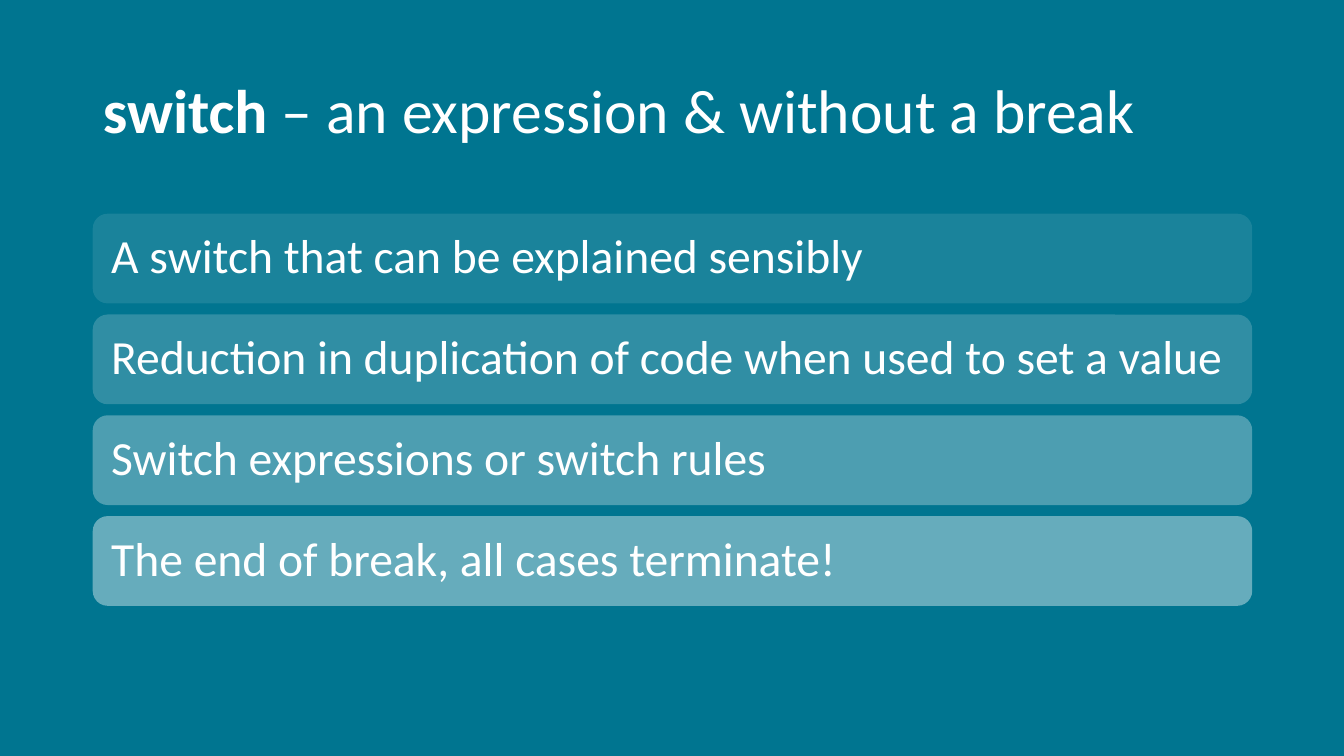
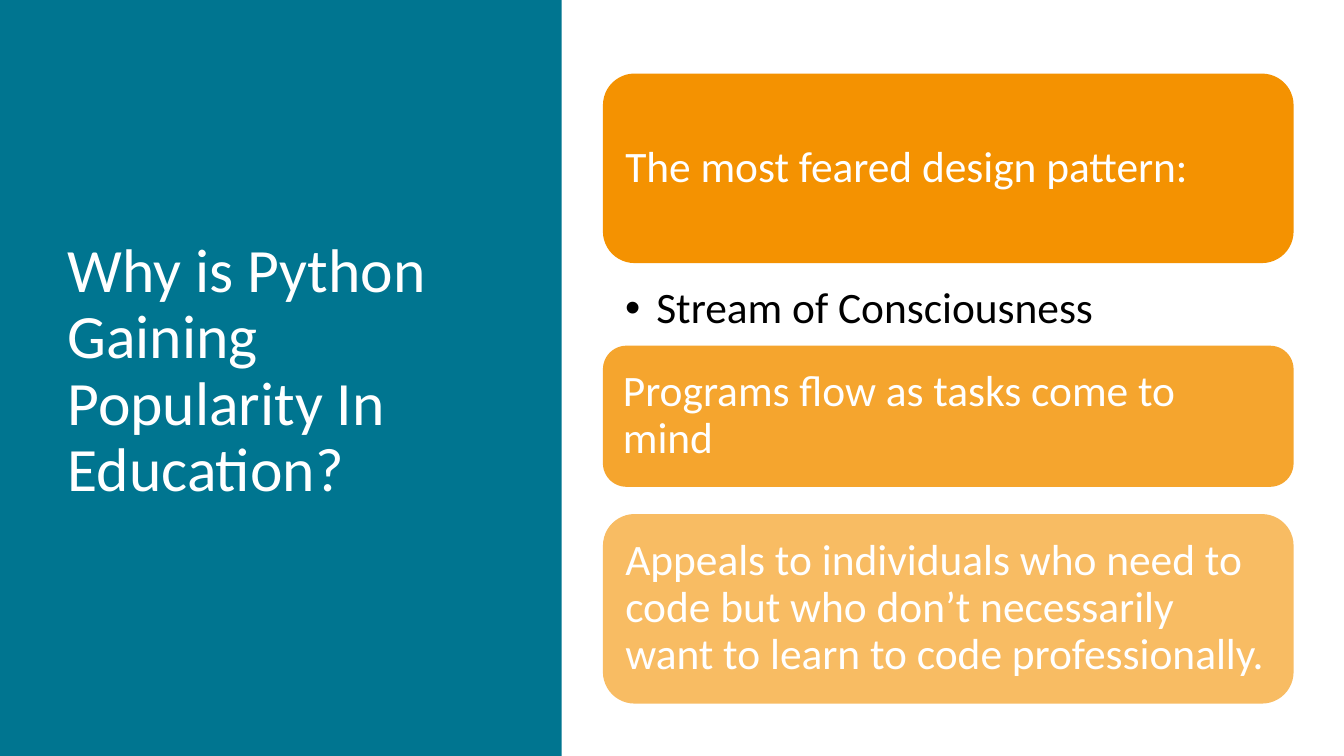
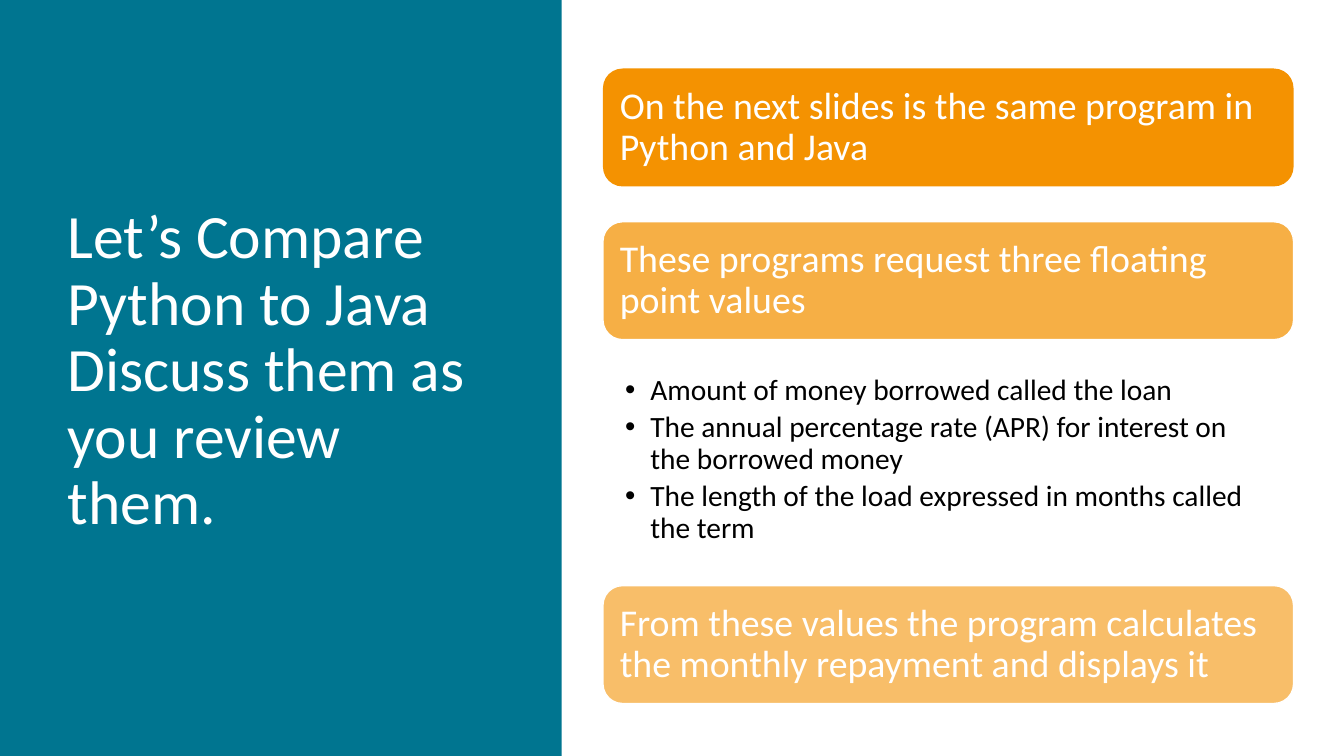
from lxml import etree
from pptx import Presentation
from pptx.dml.color import RGBColor
from pptx.enum.shapes import MSO_SHAPE
from pptx.enum.text import MSO_ANCHOR, MSO_AUTO_SIZE, PP_ALIGN
from pptx.oxml.ns import qn
from pptx.util import Inches, Pt

RECT = MSO_SHAPE.RECTANGLE
ROUND = MSO_SHAPE.ROUNDED_RECTANGLE
MIDDLE = MSO_ANCHOR.MIDDLE
TOP = MSO_ANCHOR.TOP
LEFT = PP_ALIGN.LEFT
FIXED = MSO_AUTO_SIZE.NONE

COLORS = {"teal": "007590", "orange": "F49201", "white": "FFFFFF", "black": "000000"}
FONT = "Calibri"
TITLE_SIZE = 44
WIDTH, HEIGHT = 13.33, 7.5
PANEL = (0, 0, 5.57, HEIGHT)
SIDE_TITLE = (0.57, 0.68, 4.16, 6.02)
CARD_LEFT, CARD_WIDTH = 5.98, 6.85
TITLE_ONLY, TITLE_BODY = 5, 1


def color(name):
    return RGBColor.from_string(COLORS[name])


class Deck:
    def __init__(self):
        self.show = Presentation()
        self.show.slide_width = Inches(WIDTH)
        self.show.slide_height = Inches(HEIGHT)
        self.slide = None

    def start(self, layout, back):
        self.slide = self.show.slides.add_slide(self.show.slide_layouts[layout])
        fill = self.slide.background.fill
        fill.solid()
        fill.fore_color.rgb = color(back)

    def place(self, shape, box):
        shape.left, shape.top, shape.width, shape.height = map(Inches, box)

    def style(self, frame, size, ink, insets, anchor=MIDDLE, after=0):
        frame.auto_size = FIXED
        frame.word_wrap = True
        frame.vertical_anchor = anchor
        (frame.margin_left, frame.margin_top,
         frame.margin_right, frame.margin_bottom) = map(Inches, insets)
        for para in frame.paragraphs:
            para.alignment = LEFT
            para.line_spacing = 0.9
            para.space_before = Pt(0)
            para.space_after = Pt(after)
            for run in para.runs:
                run.font.name = FONT
                run.font.size = Pt(size)
                run.font.color.rgb = color(ink)

    def title(self, box, text, bold=""):
        shape = self.slide.shapes.title
        self.place(shape, box)
        frame = shape.text_frame
        frame.text = bold or text
        if bold:
            para = frame.paragraphs[0]
            para.runs[0].font.bold = True
            para.add_run().text = text
        self.style(frame, TITLE_SIZE, "white", (0.1, 0.05, 0.1, 0.05))

    def block(self, kind, box, paint, alpha=100, edge=False):
        shape = self.slide.shapes.add_shape(kind, *map(Inches, box))
        shape.shadow.inherit = False
        shape.fill.solid()
        shape.fill.fore_color.rgb = color(paint)
        if alpha < 100:
            tint = shape._element.spPr.find(".//" + qn("a:srgbClr"))
            etree.SubElement(tint, qn("a:alpha")).set("val", str(alpha * 1000))
        if edge:
            shape.line.color.rgb = color("white")
            shape.line.width = Pt(1)
        else:
            shape.line.fill.background()
        return shape

    def card(self, box, text, size, inset, paint="orange", alpha=100, edge=False):
        shape = self.block(ROUND, box, paint, alpha, edge)
        shape.text_frame.text = text
        self.style(shape.text_frame, size, "white", (inset,) * 4)

    def bullets(self, box, lines, size, indent, after):
        shape = self.slide.placeholders[1]
        self.place(shape, box)
        frame = shape.text_frame
        frame.text = "\n".join(lines)
        self.style(frame, size, "black", (0.22, 0.04, 0.22, 0.04), TOP, after)
        for para in frame.paragraphs:
            props = para._p.get_or_add_pPr()
            props.set("marL", str(Inches(indent)))
            props.set("indent", str(-Inches(indent)))
            etree.SubElement(props, qn("a:buFont")).set("typeface", "Arial")
            etree.SubElement(props, qn("a:buChar")).set("char", "•")

    def split(self, text):
        self.start(TITLE_BODY, "white")
        panel = self.block(RECT, PANEL, "teal")
        self.slide.shapes.title._element.addprevious(panel._element)
        self.title(SIDE_TITLE, text)


deck = Deck()

deck.start(TITLE_ONLY, "teal")
deck.title((0.92, 0.4, 11.5, 1.45), " – an expression & without a break", "switch")
points = [
    ("A switch that can be explained sensibly", 10),
    ("Reduction in duplication of code when used to set a value", 19),
    ("Switch expressions or switch rules", 30),
    ("The end of break, all cases terminate!", 40),
]
for row, (text, alpha) in enumerate(points):
    deck.card((0.92, 2.12 + row, 11.5, 0.89), text, 34, 0.14, "white", alpha)

deck.split("Why is Python Gaining Popularity In Education?")
reasons = [
    (0.73, 1.88, 100, "The most feared design pattern:"),
    (3.43, 1.4, 82, "Programs flow as tasks come to mind"),
    (5.1, 1.88, 61, "Appeals to individuals who need to code but who don’t "
                    "necessarily want to learn to code professionally."),
]
for top, tall, alpha, text in reasons:
    deck.card((CARD_LEFT, top, CARD_WIDTH, tall), text, 31, 0.13, alpha=alpha)
deck.bullets((CARD_LEFT, 2.8, CARD_WIDTH, 0.56),
             ["Stream of Consciousness"], 31, 0.31, 6)

deck.split("Let’s Compare Python to Java\vDiscuss them as you review them.")
steps = [
    (0.68, 100, "On the next slides is the same program in Python and Java"),
    (2.2, 73, "These programs request three floating point values"),
    (5.81, 59, "From these values the program calculates the monthly "
               "repayment and displays it"),
]
for top, alpha, text in steps:
    deck.card((CARD_LEFT, top, CARD_WIDTH, 1.17), text, 27, 0.11,
              alpha=alpha, edge=alpha < 100)
deck.bullets((CARD_LEFT, 3.68, CARD_WIDTH, 1.83), [
    "Amount of money borrowed called the loan",
    "The annual percentage rate (APR) for interest on the borrowed money",
    "The length of the load expressed in months called the term",
], 21, 0.25, 4)

deck.show.save("out.pptx")
